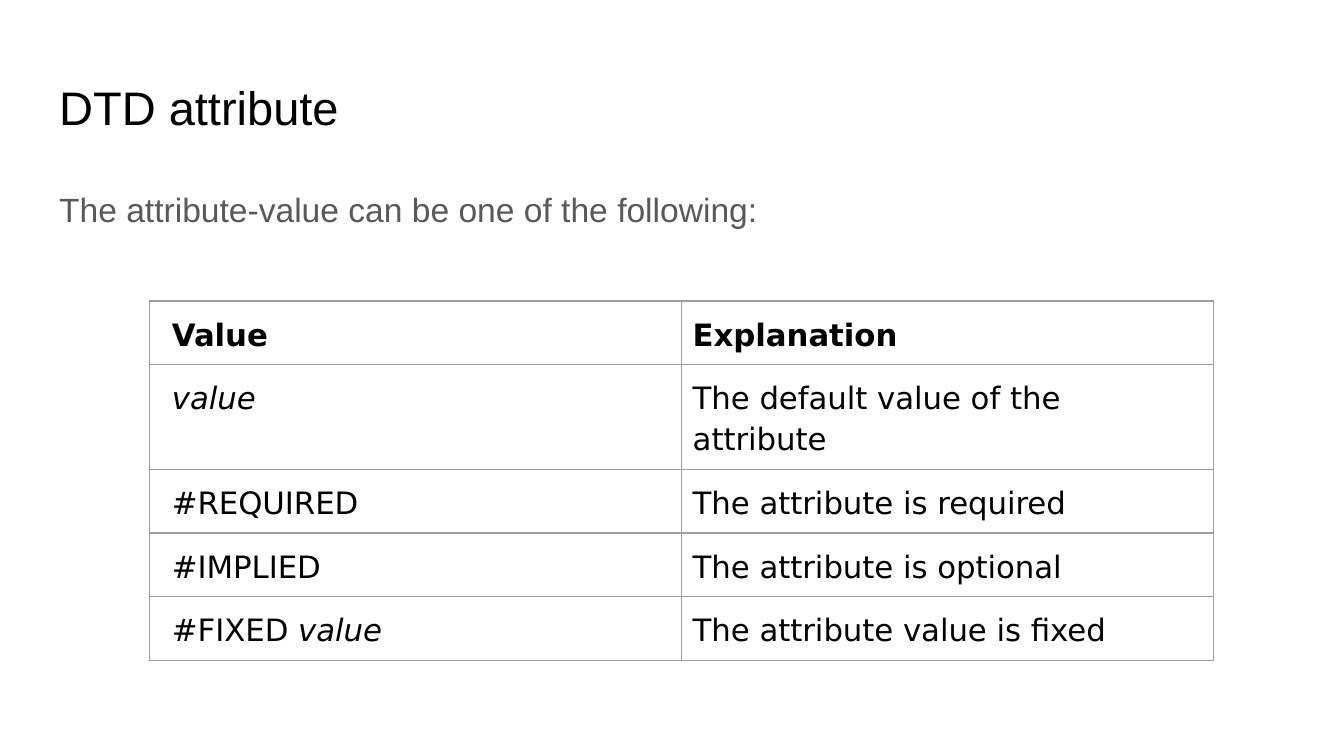
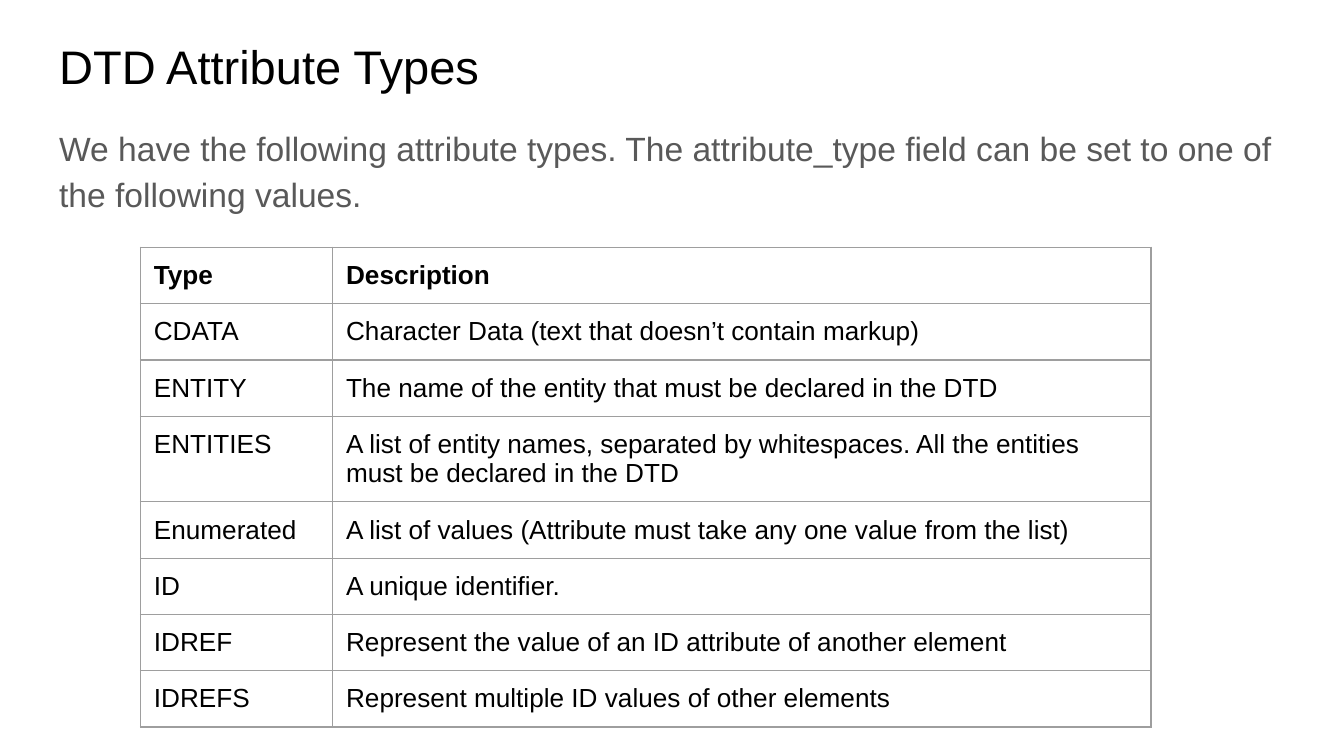
import pptx
import pptx.dml.color
import pptx.enum.text
import pptx.oxml
import pptx.oxml.ns
import pptx.util

PX = 4572
BLACK = pptx.dml.color.RGBColor(0x00, 0x00, 0x00)
GREY = pptx.dml.color.RGBColor(0x59, 0x59, 0x59)
RULE = pptx.dml.color.RGBColor(0x9E, 0x9E, 0x9E)
SANS = "Arial"
WIDE = "DejaVu Sans"

VALUES = [
    ("Value", "Explanation"),
    ("*value*", "The default value of the attribute"),
    ("#REQUIRED", "The attribute is required"),
    ("#IMPLIED", "The attribute is optional"),
    ("#FIXED *value*", "The attribute value is fixed"),
]
TYPES = [
    ("Type", "Description"),
    ("CDATA", "Character Data (text that doesn’t contain markup)"),
    ("ENTITY", "The name of the entity that must be declared in the DTD"),
    ("ENTITIES", "A list of entity names, separated by whitespaces. "
                 "All the entities must be declared in the DTD"),
    ("Enumerated", "A list of values (Attribute must take any one value from the list)"),
    ("ID", "A unique identifier."),
    ("IDREF", "Represent the value of an ID attribute of another element"),
    ("IDREFS", "Represent multiple ID values of other elements"),
]


def px(count):
    """Turn px into EMU."""
    return pptx.util.Emu(count * PX)


def write(frame, text, size=18, font=SANS, color=BLACK, bold=False, line=1.0, after=0):
    """Fill a text frame with one paragraph; parts between asterisks are italic."""
    para = frame.paragraphs[0]
    props = para._p.get_or_add_pPr()
    props.set("marL", "0")
    props.set("indent", "0")
    props.append(pptx.oxml.parse_xml(f"<a:buNone {pptx.oxml.ns.nsdecls('a')}/>"))
    para.alignment = pptx.enum.text.PP_ALIGN.LEFT
    para.line_spacing = line
    para.space_before = pptx.util.Pt(0)
    para.space_after = pptx.util.Pt(after)
    for index, part in enumerate(text.split("*")):
        if part:
            run = para.add_run()
            run.text = part
            run.font.size = pptx.util.Pt(size)
            run.font.name = font
            run.font.color.rgb = color
            run.font.bold = bold
            run.font.italic = index % 2 == 1


def place(holder, box, text, **style):
    """Move a placeholder to a box and write its text."""
    holder.left, holder.top, holder.width, holder.height = map(px, box)
    frame = holder.text_frame
    frame.word_wrap = True
    frame.auto_size = pptx.enum.text.MSO_AUTO_SIZE.NONE
    frame.vertical_anchor = pptx.enum.text.MSO_ANCHOR.TOP
    frame.margin_left = frame.margin_right = px(20)
    frame.margin_top = frame.margin_bottom = px(20)
    write(frame, text, **style)


def edge(cell):
    """Draw a thin line on all four sides of a cell."""
    props = cell._tc.get_or_add_tcPr()
    for side in "LRTB":
        props.append(pptx.oxml.parse_xml(
            f"<a:ln{side} {pptx.oxml.ns.nsdecls('a')} w=\"{pptx.util.Pt(0.75)}\">"
            f"<a:solidFill><a:srgbClr val=\"{RULE}\"/></a:solidFill></a:ln{side}>"))


def grid(slide, left, top, widths, height, rows, pad, inset, **style):
    """Add a ruled table with a bold head row."""
    table = slide.shapes.add_table(
        len(rows), len(widths), px(left), px(top),
        px(sum(widths)), px(height * len(rows))).table
    table.first_row = table.horz_banding = False
    for column, width in zip(table.columns, widths):
        column.width = px(width)
    for r, row in enumerate(rows):
        table.rows[r].height = px(height)
        for c, text in enumerate(row):
            cell = table.cell(r, c)
            edge(cell)
            cell.fill.background()
            cell.margin_left = px(pad if c else inset)
            cell.margin_right = cell.margin_top = cell.margin_bottom = px(pad)
            write(cell.text_frame, text, bold=r == 0, **style)


def page(deck, title, lead, top, start, depth):
    """Add a slide with its title and lead text, and return it."""
    slide = deck.slides.add_slide(deck.slide_layouts[1])
    place(slide.shapes.title, (68, top, 1864, 126), title, size=25.2)
    place(slide.placeholders[1], (68, start, 1864, depth), lead,
          color=GREY, line=1.15, after=12)
    return slide


def main():
    """Build both slides and save the deck."""
    deck = pptx.Presentation()
    deck.slide_width, deck.slide_height = px(2000), px(1125)
    slide = page(deck, "DTD attribute",
                 "The attribute-value can be one of the following:", 97, 252, 748)
    grid(slide, 222, 448, (792, 792), 84, VALUES, 17, 34,
         size=16.5, font=WIDE, line=1.15)
    slide = page(deck, "DTD Attribute Types",
                 "We have the following attribute types. The attribute_type field "
                 "can be set to one of the following values.", 36, 161, 934)
    grid(slide, 209, 368, (286, 1218), 76, TYPES, 20, 20, size=14)
    deck.save("out.pptx")


if __name__ == "__main__":
    main()
